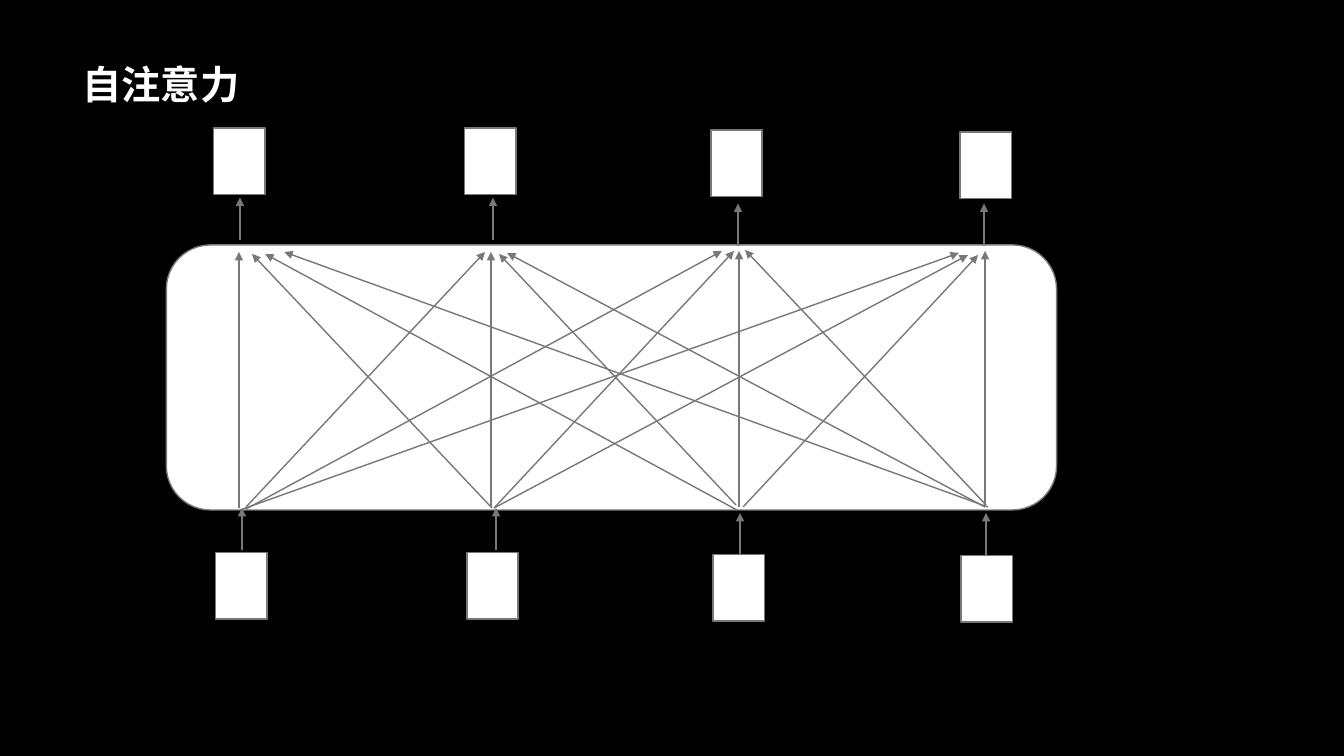
from lxml import etree
from pptx import Presentation
from pptx.dml.color import RGBColor
from pptx.enum.shapes import MSO_CONNECTOR, MSO_SHAPE
from pptx.enum.text import MSO_ANCHOR, PP_ALIGN
from pptx.oxml.ns import qn
from pptx.util import Inches, Pt

BLACK, WHITE, GRAY = "000000", "FFFFFF", "787878"

BOX_W, BOX_H = 0.51, 0.66
# left, top of each token box
INPUT_BOXES = [(2.14, 5.48), (4.63, 5.48), (7.07, 5.5), (9.53, 5.51)]
OUTPUT_BOXES = [(2.12, 1.27), (4.61, 1.27), (7.05, 1.29), (9.52, 1.31)]

# x, start y of each short upward arrow
SHORT_ARROW = 0.42
INPUT_ARROWS = [(2.4, 5.46), (4.92, 5.46), (7.34, 5.51), (9.78, 5.51)]
OUTPUT_ARROWS = [(2.38, 2.38), (4.89, 2.38), (7.32, 2.44), (9.76, 2.44)]

# for each input token: (start, end) of its arrow to every output token
ATTENTION_ARROWS = [
    [((2.37, 5.04), (2.37, 2.5)), ((2.44, 5.03), (4.81, 2.5)),
     ((2.44, 5.05), (7.16, 2.49)), ((2.38, 5.06), (9.51, 2.51))],
    [((4.88, 5.04), (2.5, 2.52)), ((4.87, 5.03), (4.87, 2.5)),
     ((4.9, 5.04), (7.28, 2.49)), ((4.9, 5.04), (9.6, 2.53))],
    [((7.31, 5.06), (2.63, 2.52)), ((7.3, 5.01), (4.95, 2.52)),
     ((7.33, 5.03), (7.33, 2.49)), ((7.37, 5.03), (9.7, 2.53))],
    [((9.8, 5.03), (2.82, 2.5)), ((9.77, 5.03), (5.03, 2.51)),
     ((9.78, 5.01), (7.39, 2.48)), ((9.77, 5.03), (9.77, 2.49))],
]


def rgb(color):
    return RGBColor.from_string(color)


def add_block(s, kind, left, top, width, height):
    block = s.shapes.add_shape(kind, Inches(left), Inches(top), Inches(width), Inches(height))
    block.shadow.inherit = False
    block.fill.solid()
    block.fill.fore_color.rgb = rgb(WHITE)
    block.line.color.rgb = rgb(GRAY)
    block.line.width = Pt(1)


def add_arrow(s, start, end):
    points = [Inches(v) for v in (*start, *end)]
    arrow = s.shapes.add_connector(MSO_CONNECTOR.STRAIGHT, *points)
    arrow.line.color.rgb = rgb(GRAY)
    arrow.line.width = Pt(1)
    etree.SubElement(arrow.line._get_or_add_ln(), qn("a:tailEnd"), type="triangle")
    etree.SubElement(arrow._element.spPr, qn("a:effectLst"))


def set_title(s, text):
    title = s.shapes.title
    title.left, title.top = Inches(0.72), Inches(0)
    title.width, title.height = Inches(11.88), Inches(1.12)
    tf = title.text_frame
    tf.text = text
    tf.vertical_anchor = MSO_ANCHOR.BOTTOM
    p = tf.paragraphs[0]
    p.alignment = PP_ALIGN.LEFT
    p.font.name = "Times New Roman"
    p.font.size = Pt(28)
    p.font.bold = True
    p.font.color.rgb = rgb(WHITE)


def main():
    prs = Presentation()
    prs.slide_width, prs.slide_height = Inches(13.33), Inches(7.5)
    s = prs.slides.add_slide(prs.slide_layouts[5])
    s.background.fill.solid()
    s.background.fill.fore_color.rgb = rgb(BLACK)

    set_title(s, "自注意力")
    for left, top in INPUT_BOXES + OUTPUT_BOXES:
        add_block(s, MSO_SHAPE.RECTANGLE, left, top, BOX_W, BOX_H)
    add_block(s, MSO_SHAPE.ROUNDED_RECTANGLE, 1.65, 2.43, 8.83, 2.63)
    for x, y in INPUT_ARROWS + OUTPUT_ARROWS:
        add_arrow(s, (x, y), (x, y - SHORT_ARROW))
    for token_arrows in ATTENTION_ARROWS:
        for start, end in token_arrows:
            add_arrow(s, start, end)

    prs.save("out.pptx")


if __name__ == "__main__":
    main()
